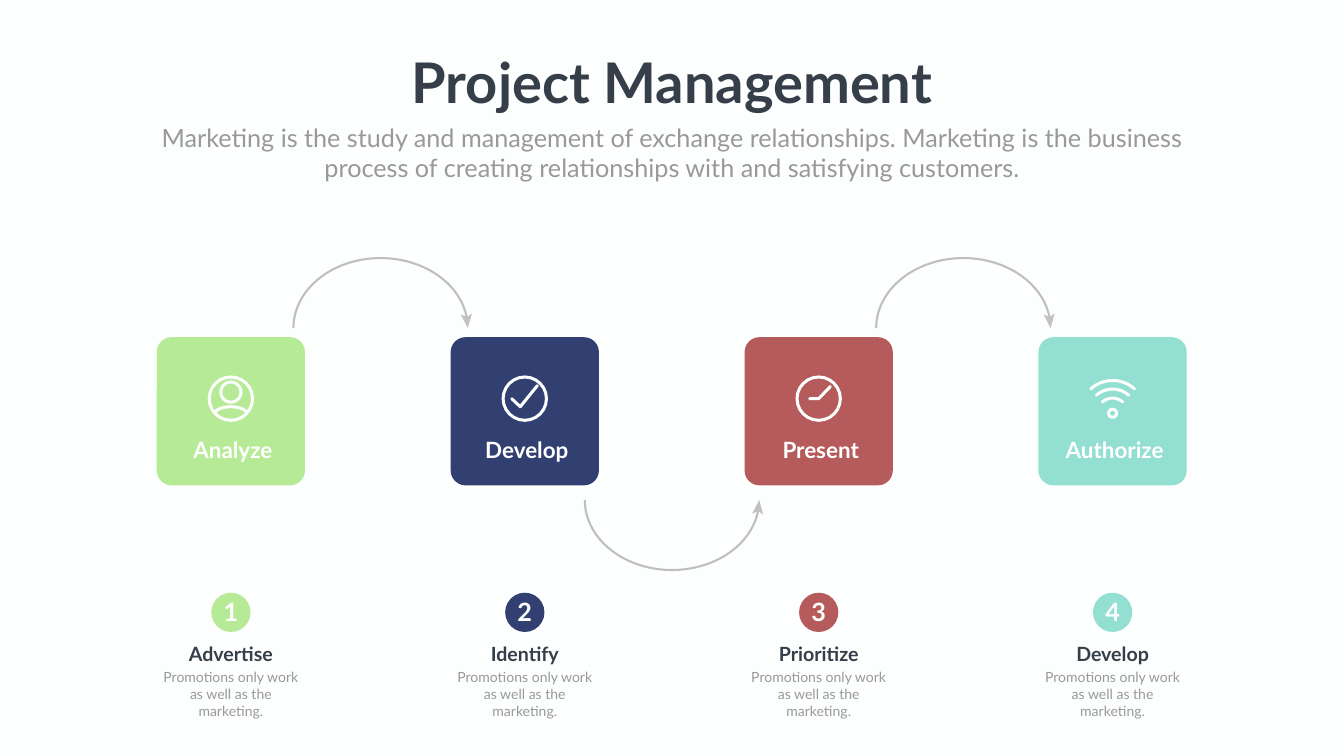
from math import cos, radians, sin

from lxml.etree import SubElement
from pptx import Presentation
from pptx.dml.color import RGBColor
from pptx.enum.shapes import MSO_SHAPE as Kind
from pptx.enum.text import MSO_ANCHOR as Anchor, MSO_AUTO_SIZE as Fit, PP_ALIGN as Align
from pptx.oxml.ns import qn
from pptx.util import Inches, Pt

INK = {
    "paper": "FDFFFE", "white": "FFFFFF", "dark": "353E49", "gray": "989998",
    "line": "808080", "head": "C1C2C1",
    "green": "B7EA96", "blue": "324071", "red": "B65B5B", "teal": "93DFD1",
}
FONT = "Lato"


def arc(x, y, rx, ry, start, end, steps=40):
    """Points along an ellipse, clockwise from the right when ry > 0."""
    turns = [radians(start + (end - start) * n / steps) for n in range(steps + 1)]
    return [(x + rx * cos(t), y + ry * sin(t)) for t in turns]


class Deck:
    def __init__(self, wide, high):
        self.prs = Presentation()
        self.prs.slide_width, self.prs.slide_height = Inches(wide), Inches(high)
        self.slide = self.prs.slides.add_slide(self.prs.slide_layouts[0])
        self.shapes = self.slide.shapes
        self.paint(self.slide.background.fill, "paper")

    def paint(self, fill, ink):
        fill.solid()
        fill.fore_color.rgb = RGBColor.from_string(INK[ink])

    def style(self, shape, fill=None, line=None, width=4.3, alpha=None):
        shape.shadow.inherit = False
        if fill:
            self.paint(shape.fill, fill)
        else:
            shape.fill.background()
        if not line:
            shape.line.fill.background()
            return
        self.paint(shape.line.fill, line)
        shape.line.width = Pt(width)
        ln = shape._element.spPr.find(qn("a:ln"))
        if alpha:
            tone = ln.find(".//" + qn("a:srgbClr"))
            SubElement(tone, qn("a:alpha")).set("val", str(alpha * 1000))
        else:
            ln.set("cap", "rnd")

    def tile(self, x, y, size, ink):
        box = self.shapes.add_shape(Kind.ROUNDED_RECTANGLE, *map(Inches, (x, y, size, size)))
        box.adjustments[0] = 0.1
        self.style(box, ink)

    def disc(self, x, y, r, **look):
        oval = self.shapes.add_shape(Kind.OVAL, *map(Inches, (x - r, y - r, 2 * r, 2 * r)))
        self.style(oval, **look)

    def trace(self, points, close=False, **look):
        first, *rest = [(Inches(x), Inches(y)) for x, y in points]
        pen = self.shapes.build_freeform(*first, scale=1.0)
        pen.add_line_segments(rest, close=close)
        self.style(pen.convert_to_shape(), **look)

    def label(self, shape, lines, size, ink, bold=False, wrap=True, side=0.1):
        frame = shape.text_frame
        frame.word_wrap = wrap
        frame.auto_size = Fit.SHAPE_TO_FIT_TEXT
        frame.vertical_anchor = Anchor.TOP
        frame.margin_left = frame.margin_right = Inches(side)
        for n, line in enumerate(lines):
            para = frame.add_paragraph() if n else frame.paragraphs[0]
            para.alignment = Align.CENTER
            para.space_before = Pt(0)
            run = para.add_run()
            run.text = line
            font = run.font
            font.name, font.size, font.bold = FONT, Pt(size), bold
            font.color.rgb = RGBColor.from_string(INK[ink])

    def text(self, mid, y, w, h, lines, size, ink, **look):
        box = self.shapes.add_textbox(*map(Inches, (mid - w / 2, y, w, h)))
        self.label(box, lines, size, ink, **look)

    def holder(self, index, x, y, w, h, *words, **look):
        box = self.slide.placeholders[index]
        box.left, box.top, box.width, box.height = map(Inches, (x, y, w, h))
        self.label(box, *words, **look)

    def arrow(self, x, y, way):
        """Half loop ending in a notched head; way is 1 above, -1 below."""
        self.trace(arc(x, y, 1.73, 1.39 * way, 180, 351),
                   line="line", width=3, alpha=50)
        barbs = [(0, 0), (-0.14, 0.27), (-0.02, 0.22), (0.08, 0.29)]
        self.trace([(x + 1.73 + dx, y - dy * way) for dx, dy in barbs],
                   close=True, fill="head")

    def icon(self, name, x, y):
        pen = {"line": "paper"}
        if name == "wifi":
            for r in (0.65, 0.48, 0.3):
                self.trace(arc(x, y + 0.29, r, r, 228, 312), **pen)
            self.disc(x, y + 0.29, 0.08, **pen)
            return
        self.disc(x, y, 0.43, **pen)
        if name == "user":
            self.disc(x, y - 0.13, 0.2, **pen)
            self.trace(arc(x, y + 0.33, 0.34, 0.17, 203, 337), **pen)
        else:
            marks = {
                "check": [(-0.26, 0), (-0.09, 0.16), (0.25, -0.26)],
                "clock": [(-0.18, 0), (0, 0), (0.23, -0.24)],
            }
            self.trace([(x + dx, y + dy) for dx, dy in marks[name]], **pen)


def main():
    deck = Deck(26.66, 15)

    # Heading
    deck.holder(0, 7.95, 0.89, 10.76, 1.45, ["Project Management"], 80, "dark",
                bold=True, wrap=False)
    deck.holder(1, 2.92, 2.37, 20.82, 1.31, [
        "Marketing is the study and management of exchange relationships. "
        "Marketing is the business process of creating relationships with "
        "and satisfying customers."], 36, "gray")

    # Steps: tile with icon, then number, name and note
    steps = [
        ("green", "user", "Analyze", "Advertise"),
        ("blue", "check", "Develop", "Identify"),
        ("red", "clock", "Present", "Prioritize"),
        ("teal", "wifi", "Authorize", "Develop"),
    ]
    note = ["Promotions only work", "as well as the marketing."]
    side = 2.94
    for n, (ink, icon, stage, name) in enumerate(steps):
        mid = 4.58 + 5.83 * n
        deck.tile(mid - side / 2, 6.69, side, ink)
        deck.icon(icon, mid, 7.91)
        deck.text(mid + 0.04, 8.6, 2.61, 0.64, [stage], 32, "white", bold=True)
        deck.disc(mid, 12.15, 0.39, fill=ink)
        deck.text(mid, 11.79, 0.71, 0.71, [str(n + 1)], 36, "white", bold=True)
        deck.text(mid, 12.69, 2.02, 0.57, [name], 28, "dark", bold=True)
        deck.text(mid, 13.22, 3.12, 0.77, note, 20, "gray", side=0.15)

    # Arrows between the steps, above and below in turn
    for n, (y, way) in enumerate([(6.51, 1), (9.92, -1), (6.51, 1)]):
        deck.arrow(7.55 + 5.78 * n, y, way)

    deck.prs.save("out.pptx")


if __name__ == "__main__":
    main()
